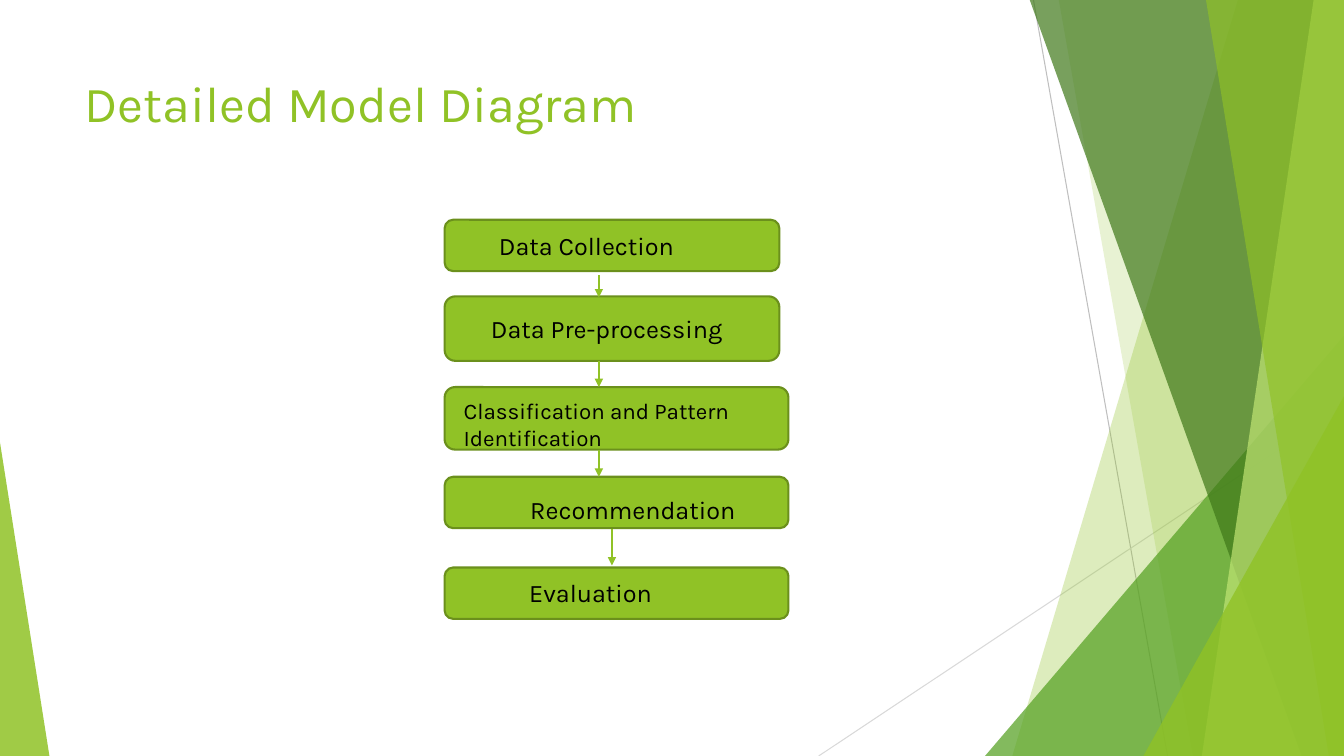
"""Build the model diagram slide: a five-step flow beside green facets."""
from dataclasses import dataclass

import pptx
import pptx.dml.color
import pptx.enum.shapes
import pptx.oxml
import pptx.oxml.ns
import pptx.util
from pptx.util import Inches

SHAPE = pptx.enum.shapes.MSO_SHAPE
WIDTH, HEIGHT = 13.33, 7.5
BLEED = -0.01


@dataclass(frozen=True)
class Theme:
    font: str = "Karla"
    green: str = "90C226"
    outline: str = "6B901C"
    leaf: str = "54A021"
    forest: str = "3F7819"
    lime: str = "C0E474"
    text: str = "000000"
    grey: str = "BFBFBF"
    pale_grey: str = "D9D9D9"
    title_size: int = 36
    step_size: int = 18
    small_size: int = 16


THEME = Theme()


@dataclass(frozen=True)
class Line:
    x1: float
    y1: float
    x2: float
    y2: float
    color: str
    width: float
    arrow: bool = False


@dataclass(frozen=True)
class Shard:
    top_x: float
    bottom_x: float
    color: str
    alpha: int


@dataclass(frozen=True)
class Corner:
    x: float
    y: float
    width: float
    apex: float
    color: str
    alpha: int


@dataclass(frozen=True)
class Label:
    text: str
    x: float
    y: float
    width: float
    height: float = 0.4
    size: int = THEME.step_size
    color: str = THEME.text


@dataclass(frozen=True)
class Step:
    y: float
    width: float
    height: float
    label: Label


RAYS = [
    Line(10.25, 0, 11.58, HEIGHT, THEME.grey, 0.75),
    Line(WIDTH, 4.03, 8.12, HEIGHT, THEME.pale_grey, 0.75),
]
FACETS = [
    Shard(12.28, 10.04, THEME.green, 30),
    Shard(10.5, 11.83, THEME.green, 20),
    Corner(9.77, 3.33, 3.56, 1, THEME.leaf, 72),
    Shard(10.21, 12.91, THEME.forest, 70),
    Shard(13.03, 11.92, THEME.lime, 70),
    Shard(11.96, 13.18, THEME.green, 65),
    Corner(11.34, 3.93, 1.99, 1, THEME.green, 80),
    Corner(0, 4.39, 0.49, 0, THEME.green, 85),
]
TITLE = Label("Detailed Model Diagram", 0.74, 0.67, 9.4, 1.44, THEME.title_size, THEME.green)
STEP_X = 4.41
STEPS = [
    Step(2.18, 3.32, 0.51, Label("Data Collection", 4.85, 2.24, 2.19)),
    Step(2.94, 3.32, 0.64, Label("Data Pre-processing", 4.77, 3.06, 2.61)),
    Step(3.84, 3.41, 0.62, Label("Classification and Pattern\nIdentification",
                                 4.5, 3.89, 2.88, 0.64, THEME.small_size)),
    Step(4.73, 3.41, 0.51, Label("Recommendation", 5.16, 4.85, 3.01)),
    Step(5.63, 3.41, 0.51, Label("Evaluation", 5.15, 5.68, 2.23)),
]
ARROWS = [
    Line(x, y1, x, y2, THEME.green, 1, True)
    for x, y1, y2 in [(5.94, 2.73, 2.95), (5.94, 3.58, 3.84),
                      (5.94, 4.46, 4.73), (6.07, 5.25, 5.61)]
]


def rgb(color: str) -> pptx.dml.color.RGBColor:
    return pptx.dml.color.RGBColor.from_string(color)


def paint(sp: pptx.shapes.autoshape.Shape, color: str, alpha: int = 100) -> None:
    sp.shadow.inherit = False
    sp.fill.solid()
    sp.fill.fore_color.rgb = rgb(color)
    sp.line.fill.background()
    if alpha < 100:
        clr = sp.fill._xPr.find(".//" + pptx.oxml.ns.qn("a:srgbClr"))
        pptx.oxml.ns.qn("a:alpha")
        node = pptx.oxml.parse_xml(
            f'<a:alpha {pptx.oxml.ns.nsdecls("a")} val="{alpha * 1000}"/>')
        clr.append(node)


def draw_line(s: pptx.slide.Slide, line: Line) -> None:
    sp = s.shapes.add_connector(
        pptx.enum.shapes.MSO_CONNECTOR.STRAIGHT,
        Inches(line.x1), Inches(line.y1), Inches(line.x2), Inches(line.y2))
    sp.line.color.rgb = rgb(line.color)
    sp.line.width = pptx.util.Pt(line.width)
    ns = pptx.oxml.ns.nsdecls("a")
    if line.arrow:
        sp.line._ln.append(pptx.oxml.parse_xml(f'<a:tailEnd {ns} type="triangle"/>'))
    sp._element.spPr.append(pptx.oxml.parse_xml(f"<a:effectLst {ns}/>"))


def draw_facet(s: pptx.slide.Slide, facet: Shard | Corner) -> None:
    if isinstance(facet, Shard):
        fb = s.shapes.build_freeform(Inches(facet.top_x), Inches(BLEED))
        fb.add_line_segments([
            (Inches(WIDTH), Inches(BLEED)),
            (Inches(WIDTH), Inches(HEIGHT)),
            (Inches(facet.bottom_x), Inches(HEIGHT)),
        ], close=True)
        sp = fb.convert_to_shape()
    else:
        sp = s.shapes.add_shape(
            SHAPE.ISOSCELES_TRIANGLE, Inches(facet.x), Inches(facet.y),
            Inches(facet.width), Inches(HEIGHT - facet.y))
        sp.adjustments[0] = facet.apex
    paint(sp, facet.color, facet.alpha)


def draw_step(s: pptx.slide.Slide, step: Step) -> None:
    sp = s.shapes.add_shape(
        SHAPE.ROUNDED_RECTANGLE, Inches(STEP_X), Inches(step.y),
        Inches(step.width), Inches(step.height))
    paint(sp, THEME.green)
    sp.line.color.rgb = rgb(THEME.outline)
    sp.line.width = pptx.util.Pt(1.5)


def draw_label(s: pptx.slide.Slide, label: Label) -> None:
    sp = s.shapes.add_textbox(
        Inches(label.x), Inches(label.y), Inches(label.width), Inches(label.height))
    tf = sp.text_frame
    tf.word_wrap = True
    tf.text = label.text
    for p in tf.paragraphs:
        for r in p.runs:
            r.font.name = THEME.font
            r.font.size = pptx.util.Pt(label.size)
            r.font.color.rgb = rgb(label.color)


def main() -> None:
    prs = pptx.Presentation()
    prs.slide_width, prs.slide_height = Inches(WIDTH), Inches(HEIGHT)
    s = prs.slides.add_slide(prs.slide_layouts[6])
    for ray in RAYS:
        draw_line(s, ray)
    for facet in FACETS:
        draw_facet(s, facet)
    draw_label(s, TITLE)
    for step in STEPS:
        draw_step(s, step)
        draw_label(s, step.label)
    for arrow in ARROWS:
        draw_line(s, arrow)
    prs.save("out.pptx")


if __name__ == "__main__":
    main()
